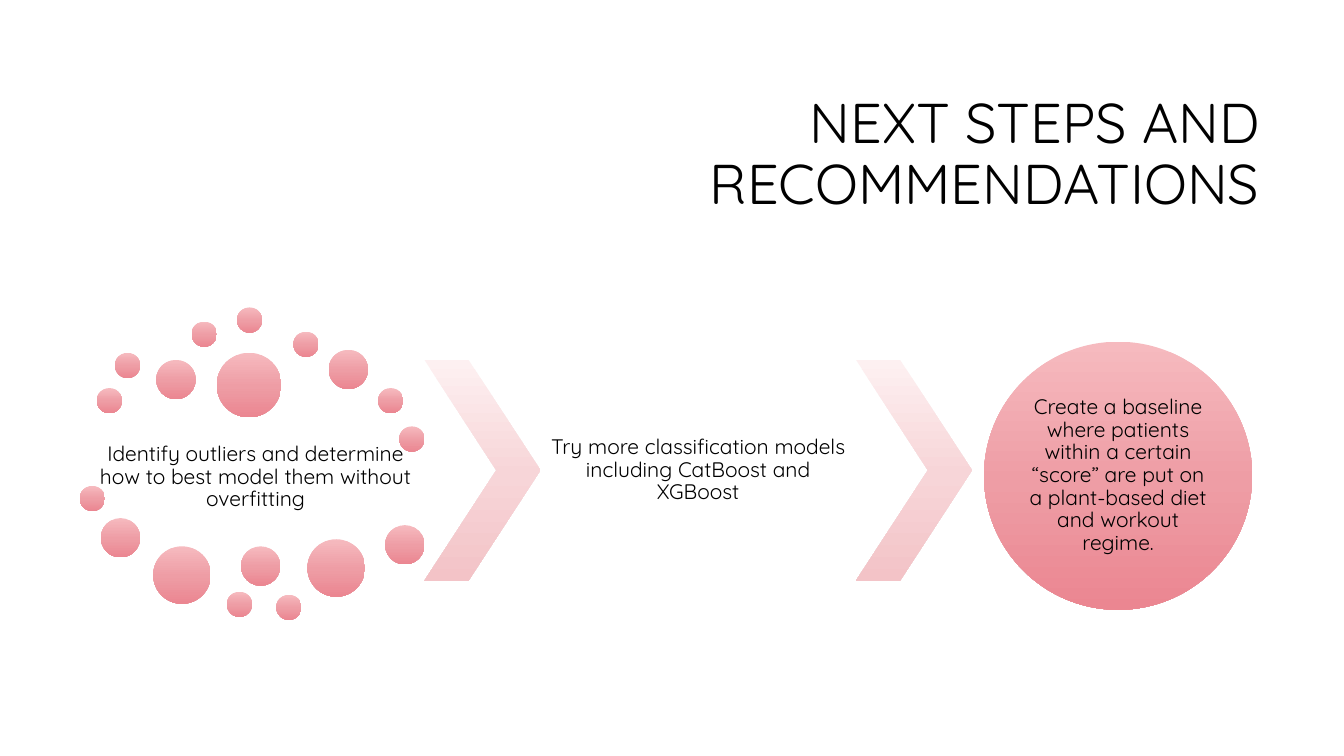
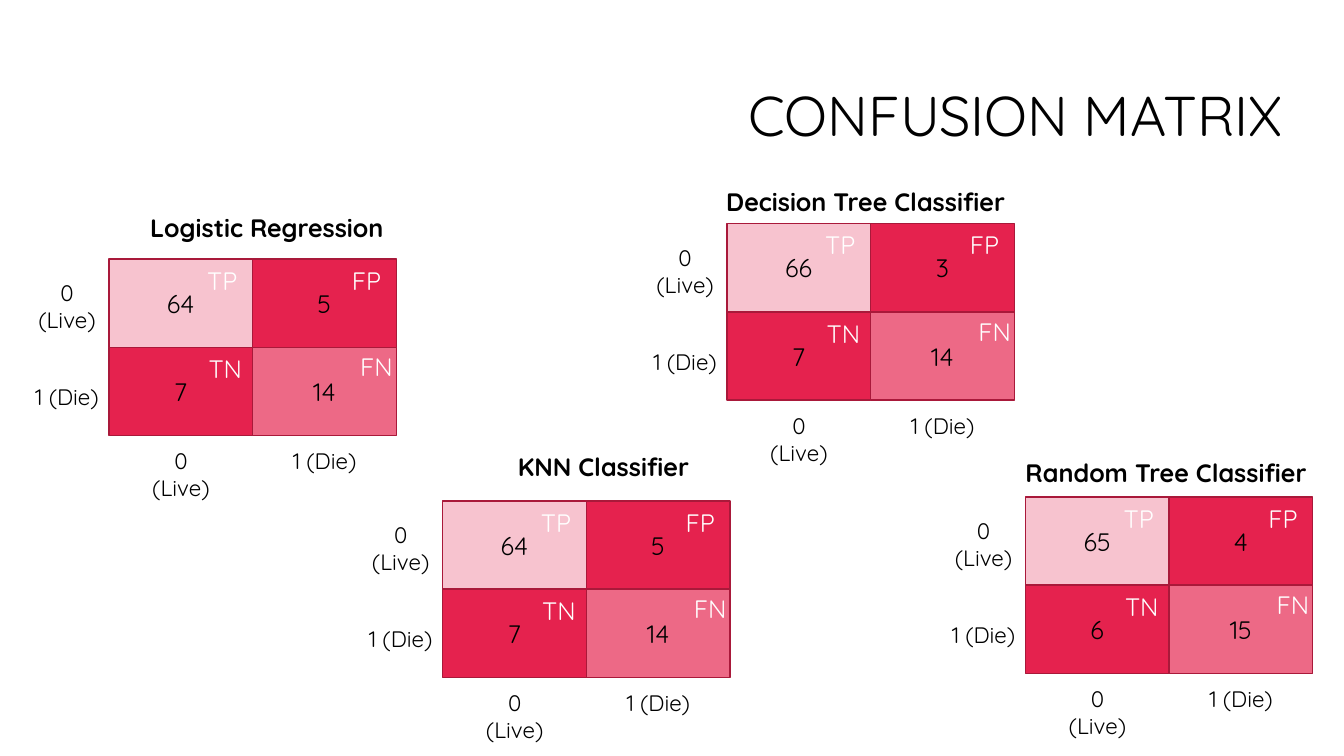
from copy import deepcopy

from lxml.etree import SubElement
from pptx import Presentation
from pptx.dml.color import RGBColor
from pptx.enum.shapes import MSO_SHAPE
from pptx.enum.text import MSO_ANCHOR, PP_ALIGN
from pptx.oxml.ns import qn
from pptx.util import Inches, Pt

# Shared colours and formats
BLACK = RGBColor(0x00, 0x00, 0x00)
WHITE = RGBColor(0xFF, 0xFF, 0xFF)
CRIMSON = RGBColor(0xE5, 0x22, 0x4E)
BORDER = RGBColor(0xA9, 0x19, 0x3A)
ROSE = [RGBColor(0xF6, 0xBA, 0xBF), RGBColor(0xEE, 0x9D, 0xA5), RGBColor(0xEB, 0x86, 0x91)]
BLUSH = [RGBColor(0xFD, 0xF0, 0xF1), RGBColor(0xF7, 0xD5, 0xD8), RGBColor(0xF3, 0xC3, 0xC7)]
STOPS = [0, 0.52, 1]

FONT = "Quicksand"
TITLE = {"size": Pt(40)}
STEP = {"size": Pt(15)}
VALUE = {"size": Pt(18)}
HEADING = {"size": Pt(18), "bold": True}
AXIS = {"size": Pt(16)}


def set_text(sp, text, fmt, color=BLACK, align=PP_ALIGN.CENTER,
             anchor=MSO_ANCHOR.MIDDLE, spacing=None, inset=None):
    """Write one formatted paragraph into a shape."""
    tf = sp.text_frame
    tf.word_wrap = True
    tf.vertical_anchor = anchor
    if inset is not None:
        for side in ("left", "right", "top", "bottom"):
            setattr(tf, f"margin_{side}", Inches(inset))
    p = tf.paragraphs[0]
    p.alignment = align
    if spacing:
        p.line_spacing = spacing
    r = p.add_run()
    r.text = text
    for name, value in {"name": FONT, **fmt}.items():
        setattr(r.font, name, value)
    r.font.color.rgb = color


def add_text(shapes, box, text, fmt, **options):
    sp = shapes.add_textbox(*map(Inches, box))
    set_text(sp, text, fmt, **options)
    return sp


def add_title(s, box, text):
    add_text(s.shapes, box, text, TITLE, align=PP_ALIGN.RIGHT, spacing=0.9)


def add_gradient_shape(shapes, kind, box, colors):
    """Add a borderless shape shaded from top to bottom."""
    sp = shapes.add_shape(kind, *map(Inches, box))
    sp.shadow.inherit = False
    sp.line.fill.background()
    sp.fill.gradient()
    sp.fill.gradient_angle = 270
    stop_list = sp._element.spPr.find(".//" + qn("a:gsLst"))
    stop_list.insert(1, deepcopy(stop_list[0]))
    for stop, position, color in zip(sp.fill.gradient_stops, STOPS, colors):
        stop.position = position
        stop.color.rgb = color
    return sp


# Next steps: dot cloud, two chevrons and a circle
SMALL, MEDIUM, LARGE, HUGE = 0.25, 0.39, 0.57, 0.64
DOTS = {
    SMALL: [(0.17, 0.8), (0.35, 0.45), (1.11, 0.14), (1.56, 0), (2.12, 0.24), (2.96, 0.8),
            (3.17, 1.18), (0, 1.77), (1.46, 2.82), (1.95, 2.85)],
    MEDIUM: [(0.76, 0.52), (2.47, 0.42), (0.21, 2.09), (1.6, 2.37), (3.03, 2.16)],
    LARGE: [(0.73, 2.37), (2.26, 2.3)],
    HUGE: [(1.36, 0.45)],
}


def add_dot_cloud(s, x, y, text):
    shapes = s.shapes.add_group_shape().shapes
    add_text(shapes, (x + 0.18, y + 1.17, 3.13, 1.03), text, STEP, spacing=0.9, inset=0.02)
    for size, places in DOTS.items():
        for dx, dy in places:
            add_gradient_shape(shapes, MSO_SHAPE.OVAL, (x + dx, y + dy, size, size), ROSE)


def add_chevron(s, x, y):
    sp = add_gradient_shape(s.shapes, MSO_SHAPE.CHEVRON, (x, y, 1.15, 2.19), BLUSH)
    sp.adjustments[0] = 0.62


def add_circle(s, x, y, size, text):
    add_gradient_shape(s.shapes, MSO_SHAPE.OVAL, (x, y, size, size), ROSE)
    pad = 0.39
    add_text(s.shapes, (x + pad, y + pad, size - 2 * pad, size - 2 * pad), text, STEP,
             spacing=0.9, inset=0)


def next_steps_slide(s):
    add_title(s, (3.17, 0.84, 9.42, 1.41), "NEXT STEPS AND RECOMMENDATIONS")
    add_dot_cloud(s, 0.79, 3.05,
                  "Identify outliers and determine how to best model them without overfitting")
    top = 3.57
    for x in (4.21, 8.49):
        add_chevron(s, x, top)
    add_text(s.shapes, (5.36, top, 3.13, 2.19),
             "Try more classification models including CatBoost and XGBoost",
             STEP, spacing=0.9, inset=0.02)
    add_circle(s, 9.76, 3.39, 2.66,
               "Create a baseline where patients within a certain “score” are put on "
               "a plant-based diet and workout regime.")


# Confusion matrices: two by two cells with axis labels and corner tags
CELL_W, CELL_H = 1.425, 0.875
LABELS = ["0 (Live)", "1 (Die)"]
OPACITY = [27, 100, 100, 68]
TAGS = [("TP", 0.71, 0.01), ("FP", 2.14, 0.01), ("TN", 0.74, 0.89), ("FN", 2.24, 0.87)]
# heading, heading place, heading alignment, matrix place, values by row
MATRICES = [
    ("Logistic Regression", (1.39, 2.06), PP_ALIGN.LEFT, (1.08, 2.57), (64, 5, 7, 14)),
    ("KNN Classifier", (4.46, 4.43), PP_ALIGN.CENTER, (4.39, 4.97), (64, 5, 7, 14)),
    ("Decision Tree Classifier", (7.06, 1.8), PP_ALIGN.CENTER, (7.21, 2.22), (66, 3, 7, 14)),
    ("Random Tree Classifier", (10.04, 4.49), PP_ALIGN.CENTER, (10.17, 4.93), (65, 4, 6, 15)),
]


def add_cell(shapes, x, y, value, opacity):
    sp = shapes.add_shape(MSO_SHAPE.RECTANGLE, *map(Inches, (x, y, CELL_W, CELL_H)))
    sp.shadow.inherit = False
    sp.fill.solid()
    sp.fill.fore_color.rgb = CRIMSON
    if opacity < 100:
        color = sp._element.spPr.find(qn("a:solidFill"))[0]
        SubElement(color, qn("a:alpha")).set("val", str(opacity * 1000))
    sp.line.color.rgb = BORDER
    sp.line.width = Pt(1)
    set_text(sp, str(value), VALUE)


def add_matrix(s, x, y, values):
    shapes = s.shapes.add_group_shape().shapes
    for i, (value, opacity) in enumerate(zip(values, OPACITY)):
        row, col = divmod(i, 2)
        add_cell(shapes, x + col * CELL_W, y + row * CELL_H, value, opacity)
    for i, label in enumerate(LABELS):
        for left, top in ((x + 0.3 + i * CELL_W, y + 1.82), (x - 0.83, y + 0.15 + i * 1.03)):
            add_text(shapes, (left, top, 0.83, 0.64), label, AXIS, anchor=MSO_ANCHOR.TOP)
    for tag, dx, dy in TAGS:
        add_text(shapes, (x + dx, y + dy, 0.83, 0.33), tag, VALUE, color=WHITE,
                 anchor=MSO_ANCHOR.TOP)


def confusion_slide(s):
    add_title(s, (3.4, 0.47, 9.42, 1.41), "CONFUSION MATRIX")
    for heading, place, align, origin, values in MATRICES:
        add_matrix(s, *origin, values)
        add_text(s.shapes, (*place, 3.05, 0.4), heading, HEADING, align=align,
                 anchor=MSO_ANCHOR.TOP)


def main():
    prs = Presentation()
    prs.slide_width, prs.slide_height = Inches(13.33), Inches(7.5)
    for build in (next_steps_slide, confusion_slide):
        build(prs.slides.add_slide(prs.slide_layouts[6]))
    prs.save("out.pptx")


if __name__ == "__main__":
    main()
